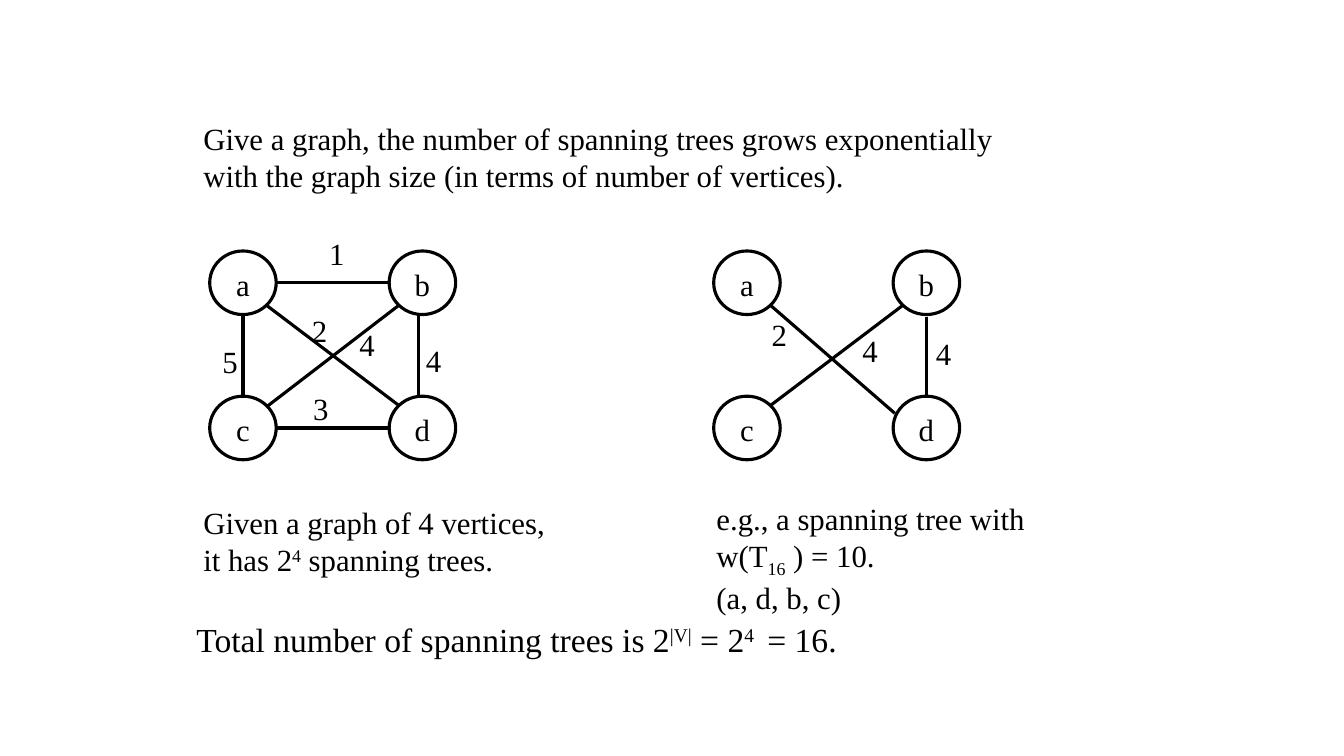
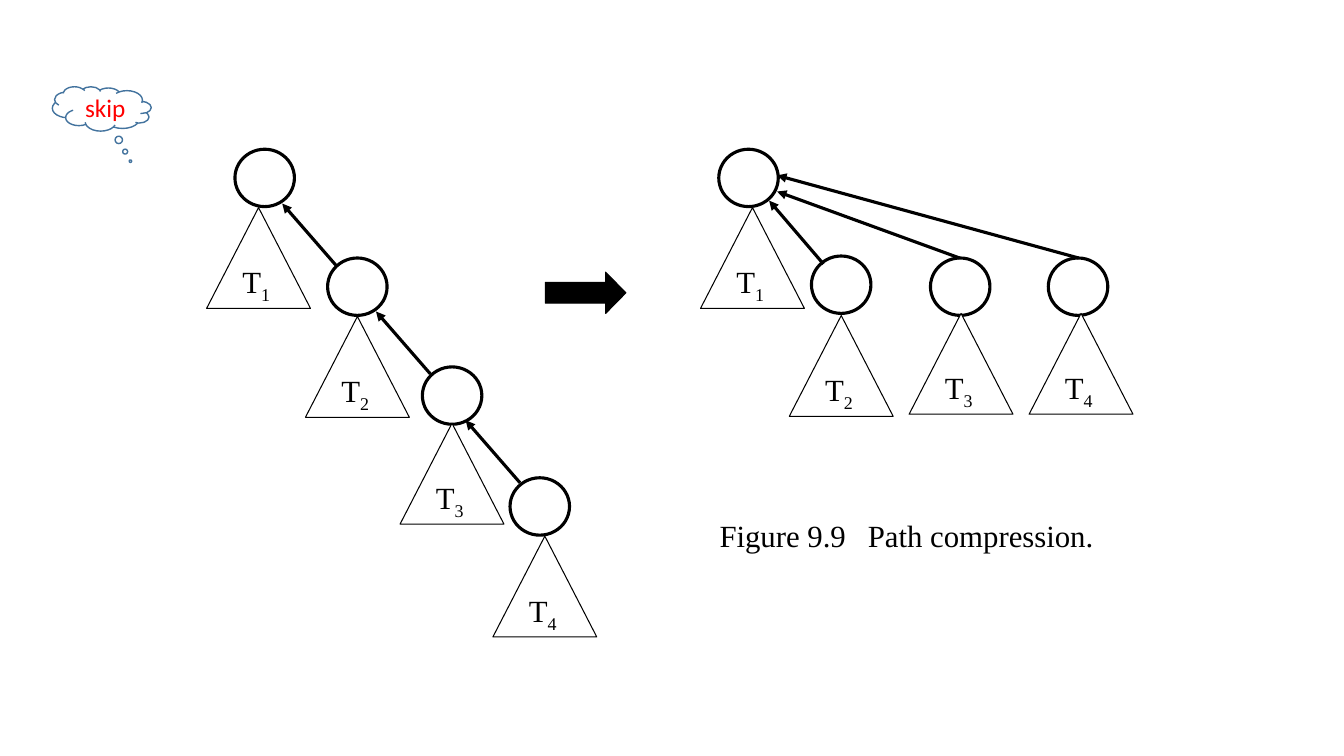
from dataclasses import dataclass
from math import sqrt
from typing import NamedTuple

from lxml.etree import SubElement
from pptx import Presentation
from pptx.dml.color import RGBColor
from pptx.enum.shapes import MSO_CONNECTOR, MSO_SHAPE
from pptx.enum.text import MSO_ANCHOR, MSO_AUTO_SIZE, PP_ALIGN
from pptx.oxml.ns import qn
from pptx.util import Pt

BLACK = RGBColor(0x00, 0x00, 0x00)
WHITE = RGBColor(0xFF, 0xFF, 0xFF)
RED = RGBColor(0xFF, 0x00, 0x00)
BLUE = RGBColor(0x43, 0x73, 0x9E)

SERIF = "Times New Roman"
BODY = 22
THICK, THIN = 2.25, 0.75

# Graph grid
NODE_W, NODE_H = 47.5, 45.4
STEP_X, STEP_Y = 128.2, 103.7
GRAPH_TOP = 179.3
CELLS = {"a": (0, 0), "b": (1, 0), "c": (0, 1), "d": (1, 1)}

# Tree parts
ROOT_W, ROOT_H = 42.5, 41
TRI_W, TRI_H = 74.2, 72


class Run(NamedTuple):
    text: str
    base: int = 0


def sup(text: str) -> Run:
    return Run(text, 30000)


def sub(text: str) -> Run:
    return Run(text, -25000)


@dataclass(frozen=True)
class Edge:
    ends: str
    weight: int
    label: tuple[float, float]
    start_shift: tuple[float, float] = (0, 0)
    end_shift: tuple[float, float] = (0, 0)


@dataclass(frozen=True)
class Graph:
    left: float
    edges: tuple[Edge, ...]


@dataclass(frozen=True)
class Tree:
    number: int
    root: tuple[float, float]
    triangle: tuple[float, float]
    arrow: tuple[float, float, float, float] | None = None


GRAPHS = (
    Graph(149.8, (
        Edge("ab", 1, (222.5, 164.2)),
        Edge("ad", 2, (210.2, 218.9)),
        Edge("cd", 3, (211, 275)),
        Edge("ac", 5, (146.2, 241.2)),
        Edge("cb", 4, (244.1, 229), start_shift=(0, 1)),
        Edge("bd", 4, (291.6, 240.5), (-2.9, 0), (-2.9, 0)),
    )),
    Graph(509.8, (
        Edge("bd", 4, (655.9, 235.4), start_shift=(0, 1.4)),
        Edge("ad", 2, (538.6, 221.8), end_shift=(-5.8, 5.6)),
        Edge("bc", 4, (603.4, 233.3)),
    )),
)

TREES = (
    # Chain before compression
    Tree(1, (167.8, 106.6), (147.6, 148.3)),
    Tree(2, (234, 184.3), (218.2, 226.1), (240.5, 190.1, 201.6, 145.4)),
    Tree(3, (301.7, 262.1), (285.8, 302.4), (307.4, 267.1, 268.6, 222.5)),
    Tree(4, (364.3, 341.3), (352.1, 383), (371.5, 344.9, 332.6, 300.2)),
    # Star after compression
    Tree(1, (513.4, 106.6), (500.4, 148.3)),
    Tree(2, (579.6, 182.9), (563.8, 225.4), (588.2, 188.6, 549.4, 143.3)),
    Tree(3, (664.6, 184.3), (649.4, 223.9), (685.4, 184.3, 555.1, 136.8)),
    Tree(4, (748.8, 184.3), (735.1, 223.9), (770.4, 184.3, 555.1, 125.3)),
)


def write(tf, *lines, size=BODY, font=SERIF, color=BLACK,
          align=PP_ALIGN.LEFT, anchor=MSO_ANCHOR.TOP, wrap=True):
    """Fill a text frame; each line is a string or a list of runs."""
    tf.word_wrap = wrap
    tf.vertical_anchor = anchor
    for i, line in enumerate(lines):
        p = tf.paragraphs[0] if i == 0 else tf.add_paragraph()
        p.alignment = align
        for part in [Run(line)] if isinstance(line, str) else line:
            r = p.add_run()
            r.text = part.text
            r.font.size = Pt(size)
            r.font.name = font
            r.font.color.rgb = color
            if part.base:
                r.font._element.set("baseline", str(part.base))


def add_text(s, x: float, y: float, w: float, h: float, *lines, **fmt):
    tb = s.shapes.add_textbox(Pt(x), Pt(y), Pt(w), Pt(h))
    write(tb.text_frame, *lines, **fmt)
    tb.text_frame.auto_size = MSO_AUTO_SIZE.SHAPE_TO_FIT_TEXT
    return tb


def add_shape(s, kind, x: float, y: float, w: float, h: float,
              fill=WHITE, line=BLACK, width: float = THICK):
    sp = s.shapes.add_shape(kind, Pt(x), Pt(y), Pt(w), Pt(h))
    sp.shadow.inherit = False
    sp.fill.solid()
    sp.fill.fore_color.rgb = fill
    sp.line.color.rgb = line
    sp.line.width = Pt(width)
    return sp


def add_line(s, x1: float, y1: float, x2: float, y2: float, arrow: bool = False):
    cn = s.shapes.add_connector(MSO_CONNECTOR.STRAIGHT, Pt(x1), Pt(y1), Pt(x2), Pt(y2))
    cn.line.color.rgb = BLACK
    cn.line.width = Pt(THICK)
    if arrow:
        SubElement(cn.line._get_or_add_ln(), qn("a:tailEnd"), type="triangle")
    SubElement(cn._element.spPr, qn("a:effectLst"))


def rim(graph: Graph, name: str, toward: str, shift: tuple[float, float]):
    """Point on the rim of one node that faces another."""
    (col, row), (to_col, to_row) = CELLS[name], CELLS[toward]
    dx, dy = to_col - col, to_row - row
    scale = 1 / (2 * sqrt(dx * dx + dy * dy))
    return (graph.left + col * STEP_X + NODE_W * (0.5 + dx * scale) + shift[0],
            GRAPH_TOP + row * STEP_Y + NODE_H * (0.5 + dy * scale) + shift[1])


def add_graph(s, graph: Graph):
    for name, (col, row) in CELLS.items():
        sp = add_shape(s, MSO_SHAPE.OVAL, graph.left + col * STEP_X,
                       GRAPH_TOP + row * STEP_Y, NODE_W, NODE_H)
        write(sp.text_frame, name, align=PP_ALIGN.CENTER)
    for e in graph.edges:
        start, end = e.ends
        add_line(s, *rim(graph, start, end, e.start_shift),
                 *rim(graph, end, start, e.end_shift))
        add_text(s, *e.label, 37.4, 33.8, f" {e.weight}")


def add_tree(s, tree: Tree):
    add_shape(s, MSO_SHAPE.OVAL, *tree.root, ROOT_W, ROOT_H)
    sp = add_shape(s, MSO_SHAPE.ISOSCELES_TRIANGLE, *tree.triangle, TRI_W, TRI_H, width=THIN)
    write(sp.text_frame, [Run("T"), sub(str(tree.number))])
    if tree.arrow:
        add_line(s, *tree.arrow, arrow=True)


def build_spanning_trees(s):
    add_text(s, 138.2, 82.1, 589, 60.5,
             "Give a graph, the number of spanning trees grows exponentially "
             "with the graph size (in terms of number of vertices).")
    for graph in GRAPHS:
        add_graph(s, graph)
    # Captions
    add_text(s, 138.2, 356.4, 262.1, 60.5, "Given a graph of 4 vertices,",
             [Run("it has 2"), sup("4"), Run(" spanning trees.")], wrap=False)
    add_text(s, 504.7, 353.5, 235.4, 87.1,
             [Run("e.g., a spanning tree with w(T"), sub("16"), Run(" ) = 10.")],
             "(a, d, b, c)")
    add_text(s, 133.2, 438.5, 488.9, 36,
             [Run("Total number of spanning trees is 2"), sup("|V|"), Run(" = 2"),
              sup("4 "), Run(" = 16.")], size=24)


def build_path_compression(s):
    for tree in TREES:
        add_tree(s, tree)
    arrow = add_shape(s, MSO_SHAPE.RIGHT_ARROW, 389.5, 194.4, 57.6, 29.5,
                      fill=BLACK, width=THIN)
    arrow.adjustments[1] = 0.49
    # Caption, with a tab stop after the figure number
    tb = add_text(s, 506.9, 365.8, 285.1, 33.8, "Figure 9.9\tPath compression.")
    tabs = SubElement(tb.text_frame.paragraphs[0]._p.get_or_add_pPr(), qn("a:tabLst"))
    SubElement(tabs, qn("a:tab"), pos=str(Pt(106)), algn="l")
    # Thought bubble
    cloud = add_shape(s, MSO_SHAPE.CLOUD_CALLOUT, 37.4, 61.9, 70.6, 31.7, line=BLUE, width=1)
    cloud.adjustments[0] = -0.29
    cloud.adjustments[1] = 1.18
    cloud._element.spPr.find(qn("a:xfrm")).set("flipH", "1")
    write(cloud.text_frame, "skip", size=18, font="Calibri", color=RED,
          align=PP_ALIGN.CENTER, anchor=MSO_ANCHOR.MIDDLE)


def main():
    prs = Presentation()
    prs.slide_width, prs.slide_height = Pt(960), Pt(540)
    for build in (build_spanning_trees, build_path_compression):
        build(prs.slides.add_slide(prs.slide_layouts[6]))
    prs.save("out.pptx")


if __name__ == "__main__":
    main()
